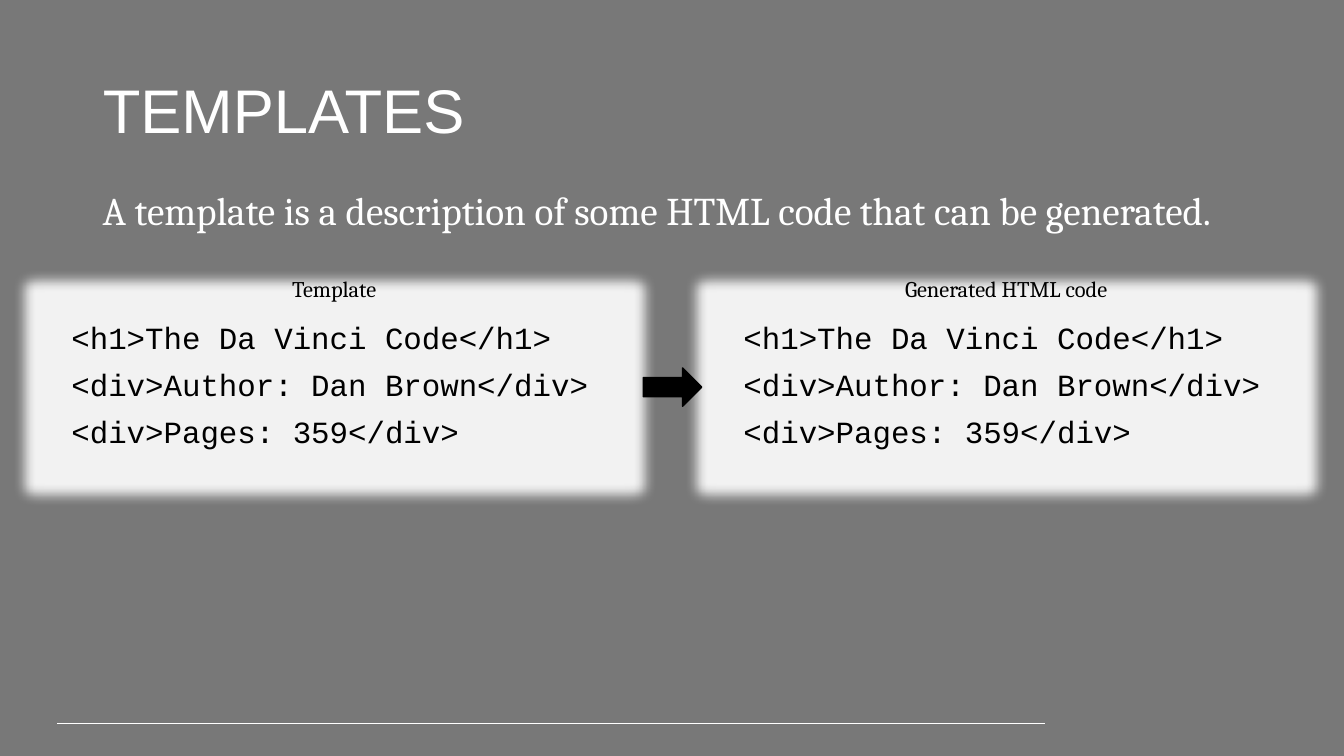
"""Build the slide that shows a template and the HTML code it generates."""
from lxml.etree import SubElement
from pptx import Presentation
from pptx.dml.color import RGBColor as Rgb
from pptx.enum.shapes import MSO_CONNECTOR as Link, MSO_SHAPE as Kind
from pptx.enum.text import MSO_ANCHOR as Anchor, PP_ALIGN as Align
from pptx.oxml.ns import qn
from pptx.util import Inches, Pt

HUES = {"back": "787878", "light": "FFFFFF", "panel": "F2F2F2", "ink": "000000"}
HUE = {name: Rgb.from_string(code) for name, code in HUES.items()}
WIDE, HIGH = Inches(13.33), Inches(7.5)
HALF = WIDE // 2
EDGE, SPAN = Inches(0.61), Inches(5.41)
LEFT = Inches(0.92)
CODE = [
    "<h1>The Da Vinci Code</h1>",
    "<div>Author: Dan Brown</div>",
    "<div>Pages: 359</div>",
]


def write(shape, lines, face, size, hue, align=Align.LEFT, anchor=Anchor.TOP):
    frame = shape.text_frame
    frame.word_wrap = True
    frame.vertical_anchor = anchor
    for row, line in enumerate(lines):
        para = frame.add_paragraph() if row else frame.paragraphs[0]
        para.alignment = align
        para.line_spacing = 0.9
        para.space_before = Pt(10 if row else 0)
        run = para.add_run()
        run.text = line
        run.font.name = face
        run.font.size = Pt(size)
        run.font.color.rgb = HUE[hue]


def draw(kind, left, top, width, height, hue):
    shape = slide.shapes.add_shape(kind, left, top, width, height)
    shape.shadow.inherit = False
    shape.fill.solid()
    shape.fill.fore_color.rgb = HUE[hue]
    shape.line.fill.background()
    return shape


deck = Presentation()
deck.slide_width, deck.slide_height = WIDE, HIGH
slide = deck.slides.add_slide(deck.slide_layouts[5])
slide.background.fill.solid()
slide.background.fill.fore_color.rgb = HUE["back"]

base = Inches(7.18)
rule = slide.shapes.add_connector(Link.STRAIGHT, Inches(0.57), base, Inches(10.36), base)
rule.line.color.rgb = HUE["light"]
rule.line.width = Pt(0.75)
SubElement(rule._element.spPr, qn("a:effectLst"))

title = slide.shapes.title
title.left, title.top = LEFT, Inches(0.4)
title.width, title.height = Inches(11.5), Inches(1.45)
write(title, ["TEMPLATES"], "Arial", 44, "light", anchor=Anchor.MIDDLE)

body = slide.shapes.add_textbox(LEFT, Inches(1.85), Inches(12.33), Inches(0.53))
write(body, ["A template is a description of some HTML code that can be generated."],
      "Cambria", 28, "light")

for col, name in enumerate(["Template", "Generated HTML code"]):
    left = EDGE + col * HALF
    panel = draw(Kind.RECTANGLE, left, Inches(3.15), SPAN, Inches(1.39), "panel")
    glow = SubElement(panel._element.spPr.find(qn("a:effectLst")), qn("a:glow"),
                      rad=str(Pt(18)))
    SubElement(glow, qn("a:srgbClr"), val=HUES["panel"])
    write(panel, CODE, "Courier New", 22, "ink")
    label = slide.shapes.add_textbox(left, Inches(2.71), SPAN, Inches(0.34))
    write(label, [name], "Cambria", 16, "ink", Align.CENTER)

arrow = draw(Kind.RIGHT_ARROW, Inches(6.38), Inches(3.65), Inches(0.58), Inches(0.38), "ink")
arrow.line.color.rgb = HUE["ink"]
arrow.line.width = Pt(1)

deck.save("out.pptx")
